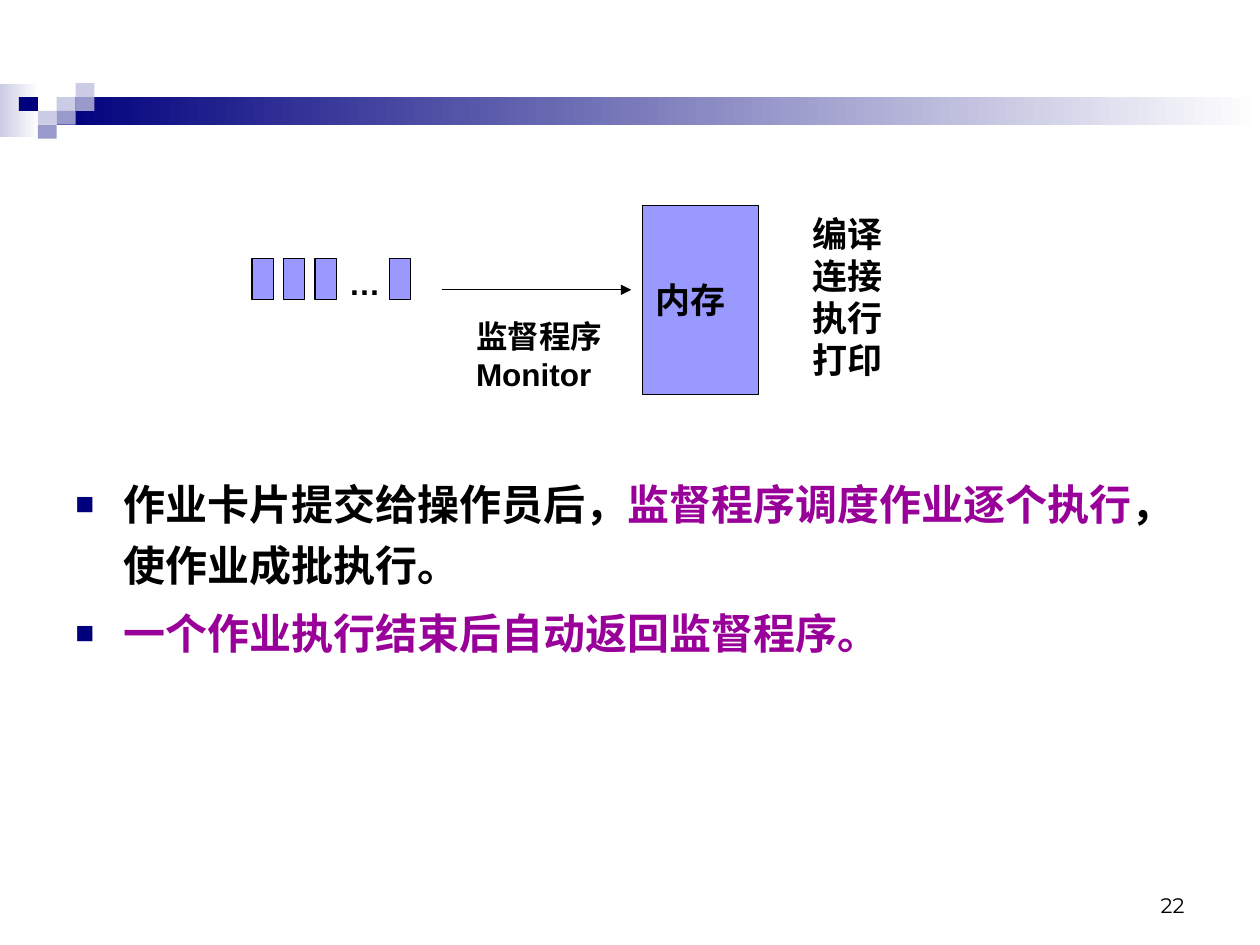
from lxml.etree import SubElement
from pptx import Presentation
from pptx.dml.color import RGBColor
from pptx.enum.shapes import MSO_CONNECTOR, MSO_SHAPE
from pptx.enum.text import MSO_ANCHOR, MSO_AUTO_SIZE, PP_ALIGN
from pptx.oxml.ns import qn
from pptx.util import Inches, Pt

BLACK = RGBColor(0x00, 0x00, 0x00)
WHITE = RGBColor(0xFF, 0xFF, 0xFF)
NAVY = RGBColor(0x00, 0x00, 0x7D)
PALE = RGBColor(0xCC, 0xCC, 0xE6)
SLATE = RGBColor(0x99, 0x99, 0xCC)
PERIWINKLE = RGBColor(0x99, 0x99, 0xFF)
PURPLE = RGBColor(0x99, 0x00, 0x99)
CJK_FONT = "Noto Sans CJK SC"

# Paragraphs are lists of (text, colour) runs
BULLETS = [
    [
        ("作业卡片提交给操作员后，", BLACK),
        ("监督程序调度作业逐个执行", PURPLE),
        ("，使作业成批执行。", BLACK),
    ],
    [("一个作业执行结束后自动返回监督程序。", PURPLE)],
]
MONITOR_LABEL = ["监督程序", "Monitor"]
JOB_STEPS = ["编译", "连接", "执行", "打印"]

# Header mosaic: column, row, colour
MOSAIC = [
    (3, 1, PALE), (4, 0, PALE), (4, 1, SLATE), (2, 2, PALE),
    (1, 1, NAVY), (3, 2, SLATE), (2, 3, SLATE),
]
CELL_WIDTH, CELL_HEIGHT, MOSAIC_TOP = 0.15, 0.11, 0.66
HEADER_FADES = [((0, 0.67, 0.31, 0.42), PALE), ((0.45, 0.77, 9.55, 0.22), NAVY)]

CARD_LEFTS = [2, 2.25, 2.5, 3.09]
CARD_TOP, CARD_WIDTH, CARD_HEIGHT = 2.05, 0.17, 0.33


def add_box(slide, box, color=None, fade_from=None, outlined=False):
    shape = slide.shapes.add_shape(MSO_SHAPE.RECTANGLE, *map(Inches, box))
    shape.shadow.inherit = False
    if fade_from is not None:
        shape.fill.gradient()
        shape.fill.gradient_angle = 0
        for stop, stop_color in zip(shape.fill.gradient_stops, (fade_from, WHITE)):
            stop.color.rgb = stop_color
    else:
        shape.fill.solid()
        shape.fill.fore_color.rgb = color
    if outlined:
        shape.line.color.rgb = BLACK
        shape.line.width = Pt(0.75)
    else:
        shape.line.fill.background()
    return shape


def add_bullet(paragraph):
    properties = paragraph._p.get_or_add_pPr()
    properties.set("marL", str(Inches(0.38)))
    properties.set("indent", str(-Inches(0.38)))
    color = SubElement(properties, qn("a:buClr"))
    SubElement(color, qn("a:srgbClr")).set("val", str(NAVY))
    SubElement(properties, qn("a:buSzPct")).set("val", "75000")
    SubElement(properties, qn("a:buFont")).set("typeface", "Arial")
    SubElement(properties, qn("a:buChar")).set("char", "■")


def write_text(shape, paragraphs, size=18, bold=True, font="Arial", east_asian=CJK_FONT,
               align=PP_ALIGN.LEFT, anchor=MSO_ANCHOR.TOP, wrap=True, bulleted=False):
    """Fill a shape; a paragraph is a string or a list of (text, colour) runs."""
    frame = shape.text_frame
    frame.word_wrap = wrap
    frame.vertical_anchor = anchor
    frame.auto_size = MSO_AUTO_SIZE.NONE if wrap else MSO_AUTO_SIZE.SHAPE_TO_FIT_TEXT
    for index, content in enumerate(paragraphs):
        paragraph = frame.add_paragraph() if index else frame.paragraphs[0]
        paragraph.alignment = align
        if bulleted:
            add_bullet(paragraph)
            paragraph.line_spacing = 1.2
            if index:
                paragraph.space_before = Pt(4.5)
        runs = [(content, BLACK)] if isinstance(content, str) else content
        for text, color in runs:
            run = paragraph.add_run()
            run.text = text
            run.font.size = Pt(size)
            run.font.bold = bold
            run.font.color.rgb = color
            run.font.name = font
            SubElement(run._r.get_or_add_rPr(), qn("a:ea")).set("typeface", east_asian)


def add_text(slide, box, paragraphs, **text_format):
    write_text(slide.shapes.add_textbox(*map(Inches, box)), paragraphs, **text_format)


def add_arrow(slide, start, end):
    arrow = slide.shapes.add_connector(MSO_CONNECTOR.STRAIGHT, *map(Inches, start + end))
    arrow.line.color.rgb = BLACK
    arrow.line.width = Pt(0.75)
    SubElement(arrow.line._get_or_add_ln(), qn("a:tailEnd")).set("type", "triangle")
    SubElement(arrow._element.spPr, qn("a:effectLst"))


def add_header(slide):
    for box, color in HEADER_FADES:
        add_box(slide, box, fade_from=color)
    for column, row, color in MOSAIC:
        left, top = column * CELL_WIDTH, MOSAIC_TOP + row * CELL_HEIGHT
        add_box(slide, (left, top, CELL_WIDTH, CELL_HEIGHT), color)


def add_batch_diagram(slide):
    for left in CARD_LEFTS:
        add_box(slide, (left, CARD_TOP, CARD_WIDTH, CARD_HEIGHT), PERIWINKLE, outlined=True)
    add_text(slide, (2.67, 2.05, 0.45, 0.4), ["…"], east_asian="Arial", wrap=False)
    add_arrow(slide, (3.51, 2.3), (5.01, 2.3))
    memory = add_box(slide, (5.1, 1.63, 0.92, 1.5), PERIWINKLE, outlined=True)
    write_text(memory, ["内存"], size=20, anchor=MSO_ANCHOR.MIDDLE)
    add_text(slide, (3.68, 2.47, 1.2, 0.7), MONITOR_LABEL, wrap=False)
    add_text(slide, (6.35, 1.64, 0.8, 1.44), JOB_STEPS, size=20)


def main():
    presentation = Presentation()
    presentation.slide_width, presentation.slide_height = Inches(10), Inches(7.5)
    slide = presentation.slides.add_slide(presentation.slide_layouts[6])
    add_header(slide)
    add_text(slide, (7.17, 6.83, 2.33, 0.5), ["22"], size=12, bold=False,
             font="Montserrat", align=PP_ALIGN.RIGHT, anchor=MSO_ANCHOR.BOTTOM)
    add_text(slide, (0.5, 3.67, 9, 3.25), BULLETS, size=24, bulleted=True)
    add_batch_diagram(slide)
    presentation.save("out.pptx")


if __name__ == "__main__":
    main()
